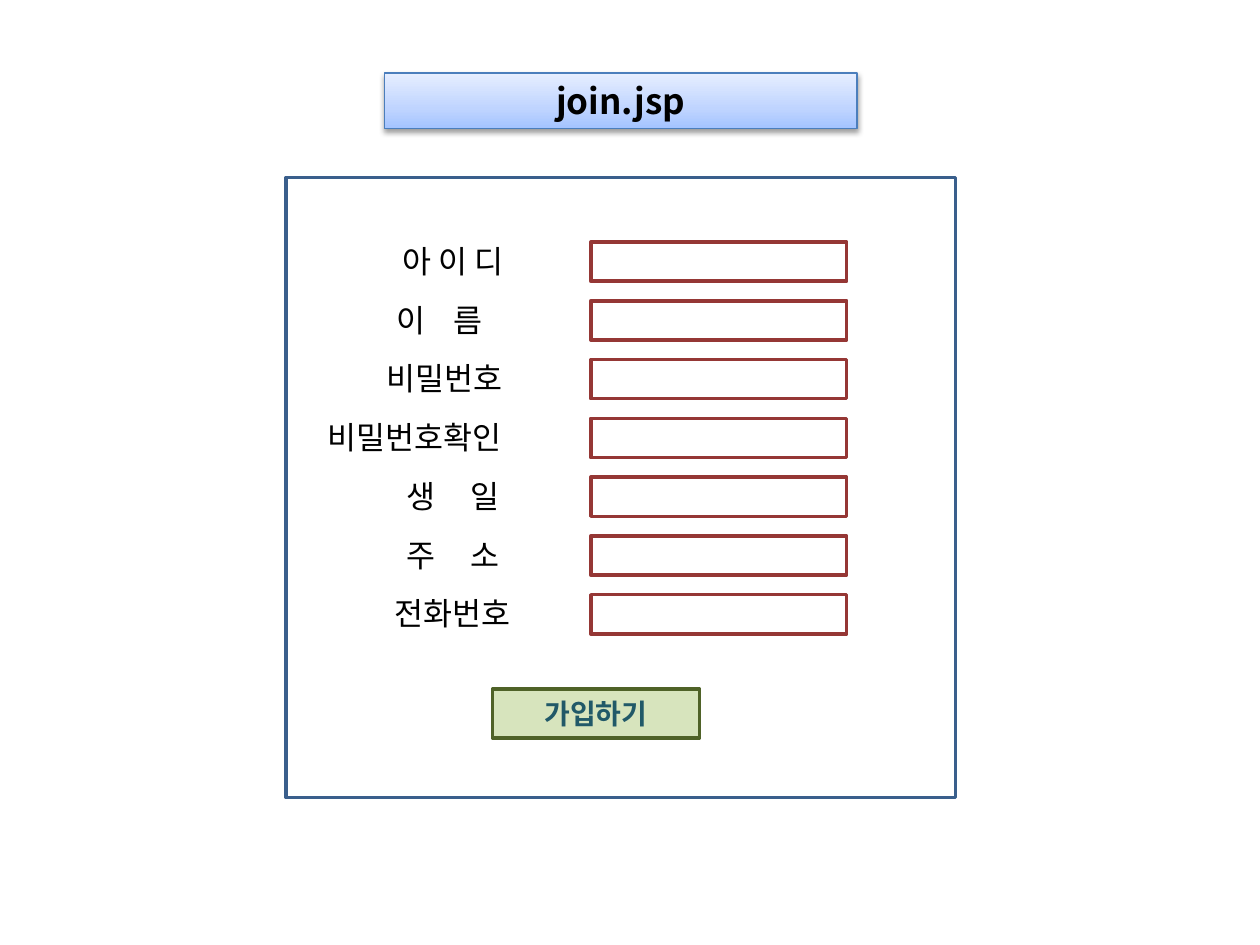
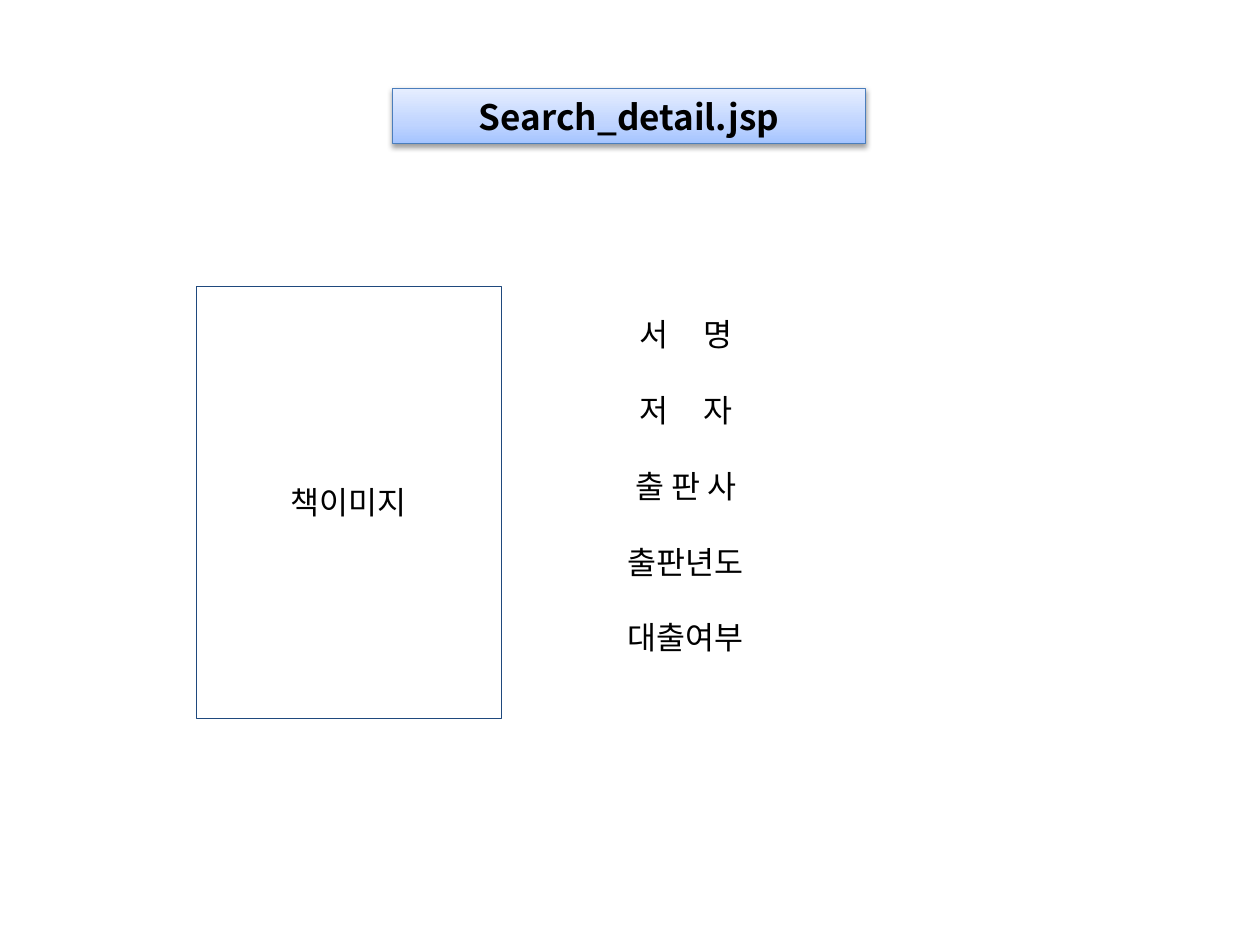
from copy import deepcopy
from dataclasses import dataclass

from lxml import etree
from pptx import Presentation
from pptx import util as u
from pptx.dml import color
from pptx.enum import shapes, text
from pptx.oxml import ns

CENTER, LEFT = text.PP_ALIGN.CENTER, text.PP_ALIGN.LEFT


@dataclass(frozen=True)
class Theme:
    font: str = "Noto Sans CJK KR"
    ink: str = "000000"
    title_line: str = "4B7EBC"
    title_stops: tuple = ((0, "A4C4FF"), (0.35, "BFD4FF"), (1, "E6EEFF"))
    panel_line: str = "3A5F8C"
    field_line: str = "953735"
    button_fill: str = "D7E4BD"
    button_line: str = "4F6228"
    button_ink: str = "215968"
    book_line: str = "1F497D"
    title_size: float = 20
    body_size: float = 18
    button_size: float = 16
    thin: float = 0.75
    thick: float = 2


@dataclass(frozen=True)
class Area:
    """Left, top, width and height in centimetres."""
    left: float
    top: float
    width: float
    height: float

    def lengths(self) -> tuple:
        return tuple(u.Cm(n) for n in (self.left, self.top, self.width, self.height))


@dataclass(frozen=True)
class Label:
    """Text whose spaces are widened by gap points."""
    wording: str
    gap: float = 0
    left: float = 7.54
    width: float = 3.18
    align: text.PP_ALIGN = CENTER


THEME = Theme()
TITLE_WIDTH, TITLE_HEIGHT = 9.53, 1.12
LABEL_TOP, FIELD_TOP, FORM_PITCH = 4.75, 4.88, 1.185
BOOK_ROW_HEIGHT, BOOK_COLUMN_WIDTH = 1.53, 5.05

FORM_LABELS = (
    Label("아 이 디"),
    Label("이 름", gap=12.1, left=7.75, width=2.97, align=LEFT),
    Label("비밀번호", align=LEFT),
    Label("비밀번호확인", left=6.35, width=4.57, align=LEFT),
    Label("생 일", gap=16.1),
    Label("주 소", gap=16.1),
    Label("전화번호"),
)
BOOK_LABELS = (
    Label("서 명", gap=16.1),
    Label("저 자", gap=16.1),
    Label("출 판 사"),
    Label("출판년도"),
    Label("대출여부"),
)


def rgb(code: str) -> color.RGBColor:
    return color.RGBColor.from_string(code)


def write(frame, wording: str, *, size: float = THEME.body_size, ink: str = THEME.ink,
          bold: bool = False, align: text.PP_ALIGN = CENTER, gap: float = 0) -> None:
    """Fill the first paragraph; a gap puts each space in a span with wider tracking."""
    para = frame.paragraphs[0]
    para.alignment = align
    pieces = wording.replace(" ", "| |").split("|") if gap else [wording]
    for piece in pieces:
        span = para.add_run()
        span.text = piece
        span.font.size = u.Pt(size)
        span.font.bold = bold
        span.font.color.rgb = rgb(ink)
        span.font.name = THEME.font
        properties = span.font._element
        etree.SubElement(properties, ns.qn("a:ea"), typeface=THEME.font)
        if piece == " ":
            properties.set("spc", str(round(gap * 100)))


def add_box(page, area: Area, *, line: str, weight: float, fill: str | None = None):
    box = page.shapes.add_shape(shapes.MSO_SHAPE.RECTANGLE, *area.lengths())
    box.shadow.inherit = False
    box.line.color.rgb = rgb(line)
    box.line.width = u.Pt(weight)
    if fill:
        box.fill.solid()
        box.fill.fore_color.rgb = rgb(fill)
    else:
        box.fill.background()
    box.text_frame.word_wrap = True
    box.text_frame.vertical_anchor = text.MSO_ANCHOR.MIDDLE
    return box


def add_title(page, wording: str, left: float, top: float) -> None:
    """Draw the shaded band with the name of the screen."""
    band = add_box(page, Area(left, top, TITLE_WIDTH, TITLE_HEIGHT),
                   line=THEME.title_line, weight=THEME.thin)
    band.fill.gradient()
    band.fill.gradient_angle = 90
    properties = band.element.spPr
    stop_list = properties.find(".//" + ns.qn("a:gsLst"))
    stop_list.append(deepcopy(stop_list[-1]))
    for stop, (position, code) in zip(band.fill.gradient_stops, THEME.title_stops):
        stop.position = position
        stop.color.rgb = rgb(code)
    shadow = etree.SubElement(properties.find(ns.qn("a:effectLst")), ns.qn("a:outerShdw"),
                              blurRad="40000", dist="20000", dir="5400000", rotWithShape="0")
    tint = etree.SubElement(shadow, ns.qn("a:srgbClr"), val=THEME.ink)
    etree.SubElement(tint, ns.qn("a:alpha"), val="38000")
    write(band.text_frame, wording, size=THEME.title_size, bold=True)


def add_form_row(page, index: int, label: Label) -> None:
    offset = index * FORM_PITCH
    area = Area(label.left, LABEL_TOP + offset, label.width, 1.02)
    caption = page.shapes.add_textbox(*area.lengths())
    caption.text_frame.word_wrap = True
    write(caption.text_frame, label.wording, align=label.align, gap=label.gap)
    add_box(page, Area(11.91, FIELD_TOP + offset, 5.16, 0.79),
            line=THEME.field_line, weight=THEME.thick)


def add_book_table(page, left: float, top: float) -> None:
    count = len(BOOK_LABELS)
    area = Area(left, top, 2 * BOOK_COLUMN_WIDTH, count * BOOK_ROW_HEIGHT)
    table = page.shapes.add_table(count, 2, *area.lengths()).table
    table.first_row = table.horz_banding = False
    for cell in table.iter_cells():
        cell.fill.background()
        cell.vertical_anchor = text.MSO_ANCHOR.MIDDLE
    for row, label in enumerate(BOOK_LABELS):
        write(table.cell(row, 0).text_frame, label.wording, gap=label.gap)


def build_join(page) -> None:
    add_box(page, Area(5.77, 3.58, 13.49, 12.5), line=THEME.panel_line, weight=THEME.thick)
    add_title(page, "join.jsp", 7.75, 1.47)
    for index, label in enumerate(FORM_LABELS):
        add_form_row(page, index, label)
    button = add_box(page, Area(9.93, 13.89, 4.17, 0.99), line=THEME.button_line,
                     weight=THEME.thick, fill=THEME.button_fill)
    write(button.text_frame, "가입하기", size=THEME.button_size, ink=THEME.button_ink, bold=True)


def build_search_detail(page) -> None:
    add_title(page, "Search_detail.jsp", 7.92, 1.78)
    cover = add_box(page, Area(3.96, 5.77, 6.15, 8.71), line=THEME.book_line, weight=THEME.thin)
    write(cover.text_frame, "책이미지")
    add_book_table(page, 11.3, 5.94)


def main() -> None:
    deck = Presentation()
    deck.slide_width, deck.slide_height = u.Cm(25.4), u.Cm(19.05)
    blank = deck.slide_layouts[6]
    for build in (build_join, build_search_detail):
        build(deck.slides.add_slide(blank))
    deck.save("out.pptx")


if __name__ == "__main__":
    main()
